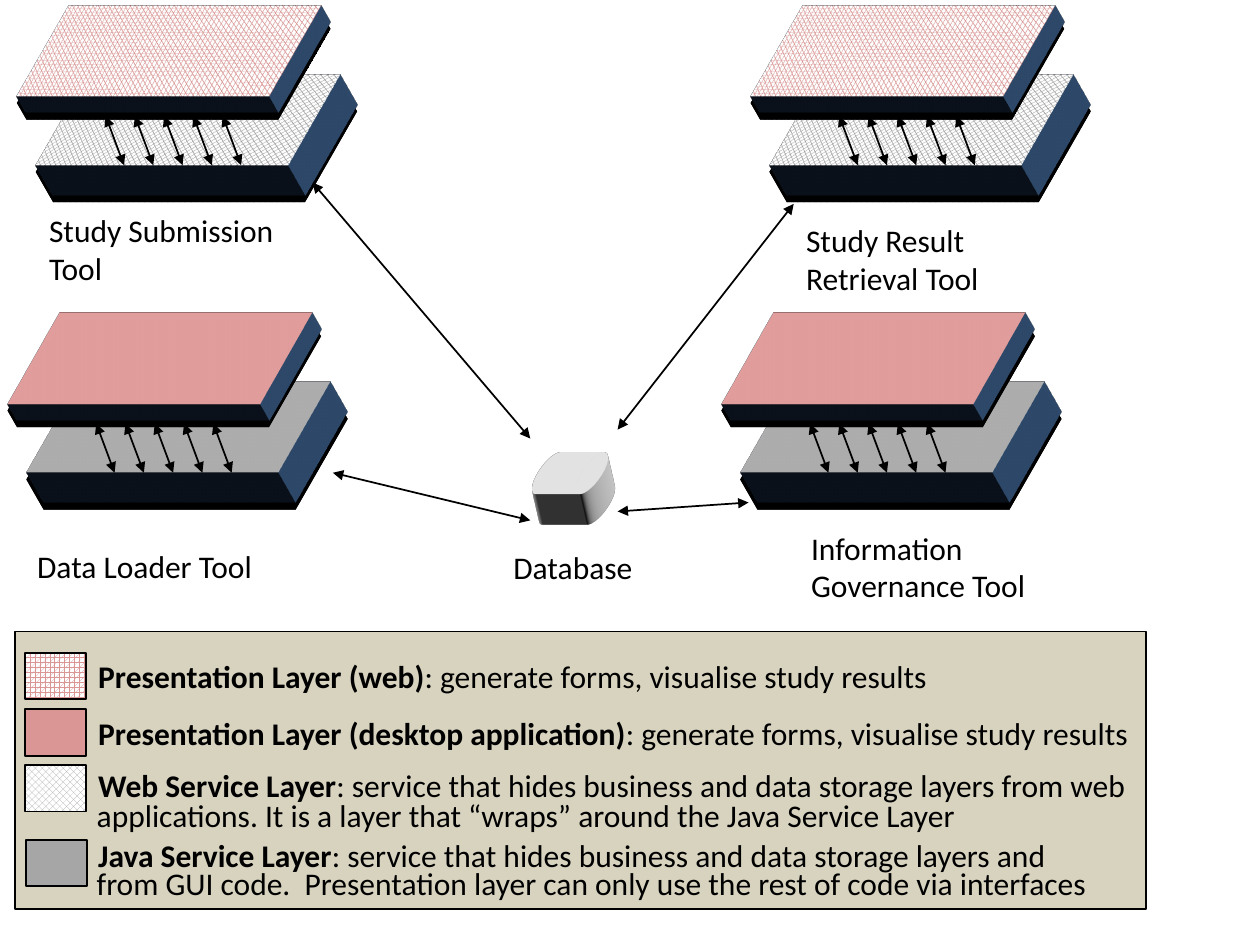
from lxml import etree
from pptx import Presentation
from pptx.dml.color import RGBColor
from pptx.enum.dml import MSO_PATTERN
from pptx.enum.shapes import MSO_CONNECTOR, MSO_SHAPE
from pptx.oxml.ns import qn
from pptx.util import Cm, Pt

RECTANGLE = MSO_SHAPE.RECTANGLE
DISK = MSO_SHAPE.FLOWCHART_MAGNETIC_DISK
STRAIGHT = MSO_CONNECTOR.STRAIGHT
GRID = MSO_PATTERN.SPHERE
DIAMOND = MSO_PATTERN.SOLID_DIAMOND

THEME = {
    "font": "Calibri", "size": 18, "line": 1, "slab_line": 2, "disk_line": 2.75,
    "black": "000000", "white": "FFFFFF", "panel": "948A54", "panel_alpha": 37,
    "pink": "D99694", "grey": "A6A6A6", "disk": "D9D9D9", "edge": "3A5F8C",
}

# Content: a fill is (colour name, pattern or None); all lengths are in cm
TOOLS = [  # offset of the slabs, kind, label, label box
    ((0, 0), "web", "Study Submission Tool", (0.74, 4.13, 5.2, 1.8)),
    ((14.79, 0), "web", "Study Result Retrieval Tool", (16, 4.33, 4.2, 1.8)),
    ((-0.19, 6.2), "desktop", "Data Loader Tool", (0.5, 10.9, 5.2, 1.03)),
    ((14.2, 6.2), "desktop", "Information Governance Tool", (16.1, 10.53, 5.2, 1.8)),
]
DATABASE_LABEL = ("Database", (10.1, 10.92, 3.4, 1.03))
LINKS = [
    ((6.3, 3.68), (10.69, 8.84)), ((6.71, 9.53), (10.69, 10.49)),
    ((12.45, 10.31), (15.09, 10.13)), ((12.45, 8.66), (16, 4.11)),
]
LEGEND = [  # swatch fill, swatch place, term, lines of (text, left, top)
    (("pink", GRID), (0.51, 13.16), "Presentation Layer (web)",
     [(": generate forms, visualise study results", 1.73, 13.13)]),
    (("pink", None), (0.51, 14.3), "Presentation Layer (desktop application)",
     [(": generate forms, visualise study results", 1.73, 14.27)]),
    (("grey", DIAMOND), (0.51, 15.42), "Web Service Layer",
     [(": service that hides business and data storage layers from web", 1.73, 15.32),
      ("applications. It is a layer that “wraps” around the Java Service Layer", 1.7, 15.93)]),
    (("grey", None), (0.53, 16.93), "Java Service Layer",
     [(": service that hides business and data storage layers and", 1.73, 16.73),
      ("from GUI code.  Presentation layer can only use the rest of code via interfaces",
       1.7, 17.3)]),
]

# Slabs, from the lower to the upper: left, top, thickness in points, colour
SLABS = [(2.49, -0.69, 24.4, "grey"), (2.11, -2.08, 13.4, "pink")]
SLAB_SIZE = (2.59, 6.2)
SLAB_PATTERNS = {"web": {"grey": DIAMOND, "pink": GRID}, "desktop": {"grey": None, "pink": None}}
ARROW_START, ARROW_REACH, ARROW_STEP, ARROW_COUNT = (2.13, 2.34), (0.37, 0.99), 0.59, 5
DISK_AREA, DISK_DEPTH = (10.69, 8.84, 1.6, 1.4), 20.7

# Cameras: preset, latitude and longitude in degrees
SLAB_CAMERA = ("isometricLeftDown", 35, 45)
DISK_CAMERA = ("isometricOffAxis1Left", 21, 58)

deck = Presentation()
deck.slide_width, deck.slide_height = Cm(25.4), Cm(19.05)
page = deck.slides.add_slide(deck.slide_layouts[6])


def colour(name):
    return RGBColor.from_string(THEME[name])


def shift(point, by):
    return point[0] + by[0], point[1] + by[1]


def add_child(parent, tag, **attributes):
    return etree.SubElement(parent, qn(tag), **attributes)


def add_box(shapes, area, fill, line=("black", "line"), preset=RECTANGLE):
    box = shapes.add_shape(preset, *map(Cm, area))
    box.shadow.inherit = False
    name, pattern = fill
    if pattern is None:
        box.fill.solid()
    else:
        box.fill.patterned()
        box.fill.pattern = pattern
        box.fill.back_color.rgb = colour("white")
    box.fill.fore_color.rgb = colour(name)
    box.line.color.rgb = colour(line[0])
    box.line.width = Pt(THEME[line[1]])
    return box


def extrude(box, camera, depth):
    """Turn the box on its side and give it depth, seen by the camera."""
    box.rotation = 90
    preset, latitude, longitude = camera
    scene = add_child(box._element.spPr, "a:scene3d")
    view = add_child(scene, "a:camera", prst=preset)
    add_child(view, "a:rot", lat=str(latitude * 60000), lon=str(longitude * 60000), rev="0")
    add_child(scene, "a:lightRig", rig="threePt", dir="t")
    add_child(box._element.spPr, "a:sp3d", extrusionH=str(int(Pt(depth))))


def drop_shadow(box):
    effects = box._element.spPr.find(qn("a:effectLst"))
    shadow = add_child(effects, "a:outerShdw", blurRad=str(int(Pt(4))), dist=str(int(Pt(4))),
                       dir="5400000", rotWithShape="0")
    add_child(shadow, "a:srgbClr", val=THEME["black"])


def add_text(area, text, term=""):
    box = page.shapes.add_textbox(*map(Cm, area))
    box.text_frame.word_wrap = True
    para = box.text_frame.paragraphs[0]
    para.font.name = THEME["font"]
    para.font.size = Pt(THEME["size"])
    para.font.color.rgb = colour("black")
    if term:
        span = para.add_run()
        span.text = term
        span.font.bold = True
    para.add_run().text = text


def add_arrow(shapes, start, end):
    arrow = shapes.add_connector(STRAIGHT, *map(Cm, start + end))
    arrow.line.color.rgb = colour("black")
    arrow.line.width = Pt(THEME["line"])
    line = arrow._element.spPr.find(qn("a:ln"))
    for tip in ("a:headEnd", "a:tailEnd"):
        add_child(line, tip, type="triangle")
    add_child(arrow._element.spPr, "a:effectLst")


# Legend
panel = add_box(page.shapes, (0.3, 12.73, 22.81, 5.59), ("panel", None))
panel_colour = panel._element.spPr.find(qn("a:solidFill"))[0]
add_child(panel_colour, "a:alpha", val=str(THEME["panel_alpha"] * 1000))
for fill, place, term, lines in LEGEND:
    add_box(page.shapes, place + (1.22, 0.94), fill)
    for index, (text, left, top) in enumerate(lines):
        add_text((left, top, 22.38, 1.03), text, "" if index else term)

# Database and its links
disk = add_box(page.shapes, DISK_AREA, ("disk", None), ("white", "disk_line"), DISK)
extrude(disk, DISK_CAMERA, DISK_DEPTH)
add_text(DATABASE_LABEL[1], DATABASE_LABEL[0])
for start, end in LINKS:
    add_arrow(page.shapes, start, end)

# Tools: two slabs joined by a row of arrows; the desktop tools are grouped
for offset, kind, label, label_area in TOOLS:
    shapes = page.shapes.add_group_shape().shapes if kind == "desktop" else page.shapes
    for left, top, depth, shade in SLABS:
        area = shift((left, top), offset) + SLAB_SIZE
        fill = (shade, SLAB_PATTERNS[kind][shade])
        slab = add_box(shapes, area, fill, ("edge", "slab_line"))
        drop_shadow(slab)
        extrude(slab, SLAB_CAMERA, depth)
    for index in range(ARROW_COUNT):
        start = shift(shift(ARROW_START, offset), (index * ARROW_STEP, 0))
        add_arrow(shapes, start, shift(start, ARROW_REACH))
    add_text(label_area, label)

deck.save("out.pptx")
